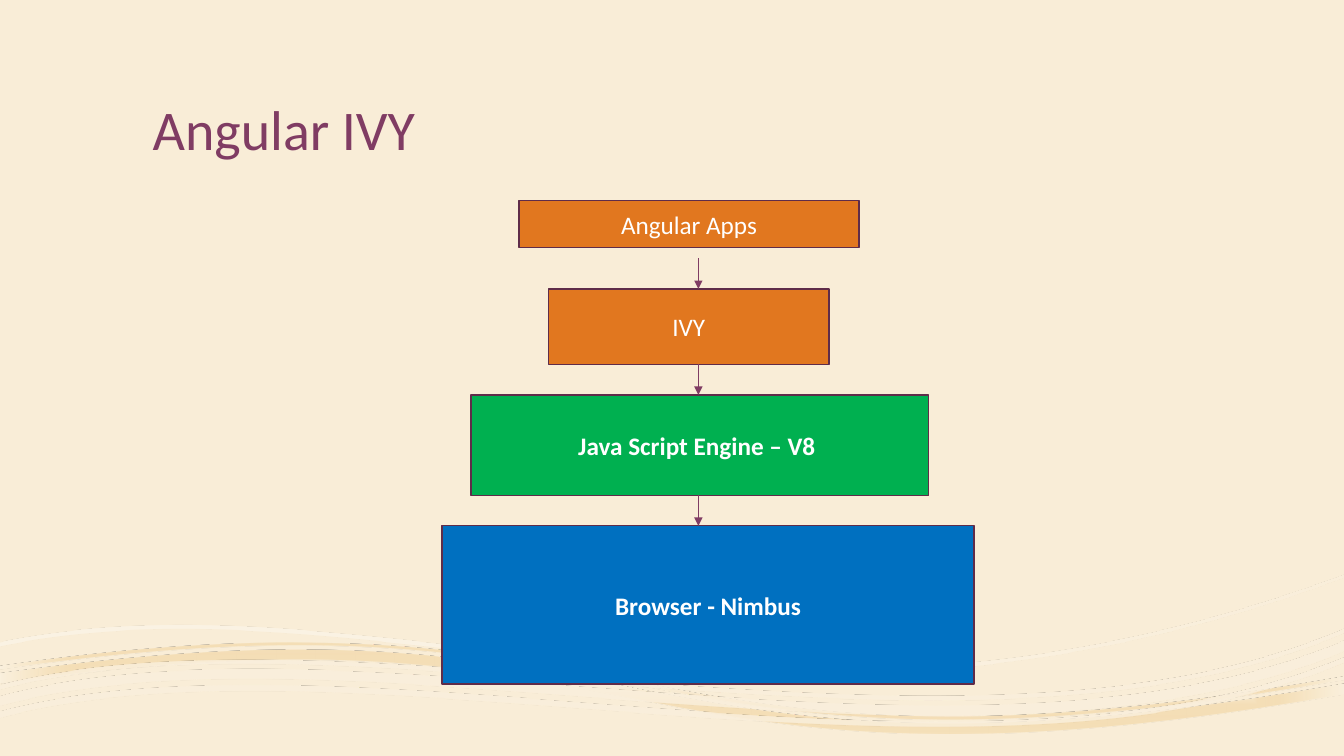
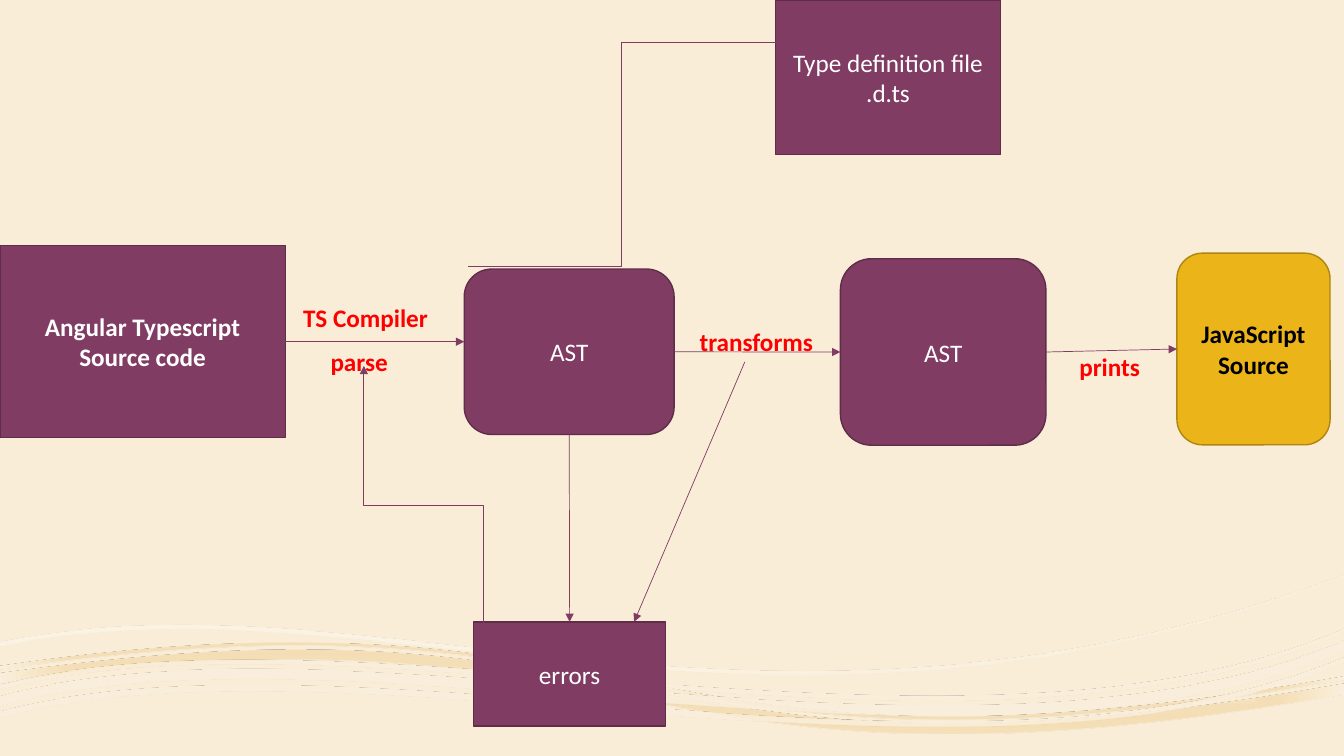
from math import cos, radians, sin

from pptx import Presentation
from pptx.dml.color import RGBColor
from pptx.enum.shapes import MSO_CONNECTOR as LINE, MSO_SHAPE as SHAPE
from pptx.enum.text import MSO_ANCHOR as ANCHOR, MSO_AUTO_SIZE as AUTOSIZE, PP_ALIGN as ALIGN
from pptx.oxml import parse_xml
from pptx.oxml.ns import nsdecls, qn
from pptx.util import Cm, Pt

CREAM = RGBColor(0xF9, 0xED, 0xD7)
PLUM = RGBColor(0x80, 0x3C, 0x63)
DARK_PLUM = RGBColor(0x5F, 0x2C, 0x49)
ORANGE = RGBColor(0xE1, 0x77, 0x1F)
GREEN = RGBColor(0x00, 0xB0, 0x50)
BLUE = RGBColor(0x00, 0x70, 0xC0)
GOLD = RGBColor(0xEB, 0xB4, 0x19)
DARK_GOLD = RGBColor(0xAE, 0x85, 0x12)
RED = RGBColor(0xFF, 0x00, 0x00)
WHITE = RGBColor(0xFF, 0xFF, 0xFF)
BLACK = RGBColor(0x00, 0x00, 0x00)

TITLE = {"size": Pt(40), "name": "Calibri"}
BODY = {"size": Pt(18), "name": "Calibri", "bold": False}
STRONG = {**BODY, "bold": True}

# Each ribbon is an upper and a lower edge: Bezier chains in cm, left to right,
# as they lie on the slide. The box is the frame before it is tilted.
# Gradient stops are (position %, colour, opacity %).
TILT = 356.5
WAVES = [
    {"box": (0.03, 15.54, 33.81, 3.43),
     "stops": [(0, "FAF1DF", 90), (18, "F4DEB7", 100), (37, "F4DDB3", 90), (100, "FAF1DF", 100)],
     "direction": '<a:path path="shape"><a:fillToRect l="50000" t="50000" r="50000" b="50000"/></a:path>',
     "ribbons": [
         ([(0, 16.97), (3.15, 16.54), (5.64, 16.36), (7.77, 16.38),
           (17.02, 16.43), (18.75, 19.86), (33.87, 17.22)],
          [(0, 17.22), (16.94, 14.81), (15.29, 20.73), (33.87, 17.48)]),
         ([(0, 16.79), (3.15, 16.33), (5.64, 16.18), (7.77, 16.21),
           (17.02, 16.26), (18.75, 19.69), (33.87, 17.04)],
          [(0, 16.87), (16.94, 14.45), (15.29, 20.37), (33.87, 17.12)])]},
    {"box": (0.08, 14.94, 33.91, 4.34),
     "stops": [(36, "FFFFFF", 30), (100, "F9EDD7", 48)],
     "direction": '<a:lin ang="2700000" scaled="0"/>',
     "ribbons": [
         ([(0, 16.18), (9.47, 14.2), (19.15, 19.91), (33.87, 14.48)],
          [(0, 16.28), (9.47, 14.3), (19.15, 20.02), (33.87, 14.55)])]},
    {"box": (-0.03, 15.88, 33.93, 2.92),
     "stops": [(36, "FFFFFF", 47), (100, "FAEFDC", 82)],
     "direction": '<a:path path="rect"><a:fillToRect l="100000" t="100000"/></a:path>',
     "ribbons": [
         ([(0, 17.93), (8.86, 15.54), (24.26, 20.57), (33.87, 16.56)],
          [(0, 18.08), (8.86, 15.7), (24.26, 20.7), (33.87, 16.69)]),
         ([(0, 17.55), (8.86, 15.14), (24.26, 20.17), (33.87, 16.15)],
          [(0, 17.78), (8.86, 15.39), (24.26, 20.42), (33.87, 16.41)]),
         ([(0, 17.27), (8.92, 14.96), (24.33, 19.96), (33.87, 15.85)],
          [(0, 17.37), (8.92, 15.06), (24.33, 20.07), (33.87, 15.95)])]},
]

# Layers, bottom first: text, (left, top, width, height), fill, font
LAYERS = [
    ("Browser - Nimbus", (11.14, 13.25, 13.41, 3.99), BLUE, STRONG),
    ("Java Script Engine – V8 ", (11.87, 9.95, 11.53, 2.54), GREEN, STRONG),
    ("IVY", (13.83, 7.28, 7.06, 1.9), ORANGE, BODY),
    ("Angular Apps", (13.08, 5.05, 8.57, 1.19), ORANGE, BODY),
]
ARROW_X, ARROW_LENGTH = 17.6, 0.77

# Stages: text, (left, top, width, height), shape, then what differs in look
STAGES = {
    "source": ("Angular Typescript Source code", (0, 6.19, 7.19, 4.83), SHAPE.RECTANGLE,
               {"font": STRONG}),
    "parsed": ("AST", (11.7, 6.78, 5.29, 4.17), SHAPE.ROUNDED_RECTANGLE, {}),
    "transformed": ("AST", (21.18, 6.52, 5.18, 4.7), SHAPE.ROUNDED_RECTANGLE, {}),
    "output": ("JavaScript Source", (29.66, 6.38, 3.86, 4.83), SHAPE.ROUNDED_RECTANGLE,
               {"font": STRONG, "fill": GOLD, "outline": DARK_GOLD, "ink": BLACK}),
    "errors": ("errors", (11.94, 15.67, 4.83, 2.63), SHAPE.RECTANGLE, {}),
    "types": ("Type definition file\n.d.ts", (19.55, 0, 5.66, 3.9), SHAPE.RECTANGLE, {}),
}
TOP, LEFT, BOTTOM, RIGHT = range(4)
# Links between stages: (stage, side) to (stage, side)
LINKS = [
    (("parsed", BOTTOM), ("errors", TOP)),
    (("parsed", RIGHT), ("transformed", LEFT)),
    (("transformed", RIGHT), ("output", LEFT)),
]
# Free arrows: start, end, format
ARROWS = [
    ((7.19, 8.61), (11.7, 8.61), {}),
    ((18.77, 9.12), (15.98, 15.67), {}),
    ((19.55, 1.07), (11.79, 6.71), {"kind": LINE.ELBOW, "heads": ()}),
    ((9.17, 9.22), (12.19, 16.23),
     {"kind": LINE.ELBOW, "heads": ("headEnd", "tailEnd"), "upright": True}),
]
LABELS = [
    ("TS Compiler", (7.39, 7.49, 3.86, 1.02)),
    ("parse", (8.08, 8.61, 2.01, 1.02)),
    ("transforms", (17.38, 8.1, 3.56, 1.02)),
    ("prints", (26.95, 8.72, 2.11, 1.02)),
]


def in_cm(values):
    return [Cm(value) for value in values]


def curve_path(box, ribbons):
    """Path XML of the ribbons, turned back into the untilted box."""
    left, top, width, height = box
    turn = radians(360 - TILT)

    def point(x, y):
        dx, dy = x - left - width / 2, y - top - height / 2
        px = width / 2 + dx * cos(turn) - dy * sin(turn)
        py = height / 2 + dx * sin(turn) + dy * cos(turn)
        return f'<a:pt x="{Cm(px)}" y="{Cm(py)}"/>'

    def curves(chain):
        return "".join(
            "<a:cubicBezTo>" + "".join(point(*p) for p in chain[i:i + 3]) + "</a:cubicBezTo>"
            for i in range(1, len(chain), 3))

    outlines = "".join(
        f"<a:moveTo>{point(*upper[0])}</a:moveTo>{curves(upper)}"
        f"<a:lnTo>{point(*lower[-1])}</a:lnTo>{curves(lower[::-1])}<a:close/>"
        for upper, lower in ribbons)
    return f'<a:path {nsdecls("a")} w="{Cm(width)}" h="{Cm(height)}">{outlines}</a:path>'


def gradient(stops, direction):
    marks = "".join(
        f'<a:gs pos="{position * 1000}"><a:srgbClr val="{colour}">'
        f'<a:alpha val="{opacity * 1000}"/></a:srgbClr></a:gs>'
        for position, colour, opacity in stops)
    return (f'<a:gradFill {nsdecls("a")} rotWithShape="1"><a:gsLst>{marks}</a:gsLst>'
            f'{direction}</a:gradFill>')


def draw_wave(slide, box, stops, direction, ribbons):
    left, top, width, height = in_cm(box)
    frame = slide.shapes.build_freeform(left, top)
    frame.add_line_segments([(left + width, top), (left + width, top + height),
                             (left, top + height)])
    shape = frame.convert_to_shape()
    shape.rotation = TILT
    shape.shadow.inherit = False
    shape.line.fill.background()
    shape.fill.background()
    props = shape._element.spPr
    paths = props.find(qn("a:custGeom")).find(qn("a:pathLst"))
    paths.replace(paths[0], parse_xml(curve_path(box, ribbons)))
    props.replace(props.find(qn("a:noFill")), parse_xml(gradient(stops, direction)))
    return shape


def decorate_layout(layout, slide):
    """Give the layout its background and waves, drawn on a slide and moved over."""
    layout.background.fill.solid()
    layout.background.fill.fore_color.rgb = CREAM
    for wave in WAVES:
        layout.shapes._spTree.append(draw_wave(slide, **wave)._element)


def write(frame, text, font, ink, align=None):
    frame.text = text
    for paragraph in frame.paragraphs:
        paragraph.alignment = align
        for run in paragraph.runs:
            for key, value in font.items():
                setattr(run.font, key, value)
            run.font.color.rgb = ink


def add_box(slide, text, box, kind=SHAPE.RECTANGLE, fill=PLUM, outline=DARK_PLUM,
            font=BODY, ink=WHITE):
    shape = slide.shapes.add_shape(kind, *in_cm(box))
    shape.shadow.inherit = False
    shape.fill.solid()
    shape.fill.fore_color.rgb = fill
    shape.line.color.rgb = outline
    shape.line.width = Pt(1)
    shape.text_frame.word_wrap = True
    shape.text_frame.vertical_anchor = ANCHOR.MIDDLE
    write(shape.text_frame, text, font, ink, ALIGN.CENTER)
    return shape


def add_arrow(slide, start, end, kind=LINE.STRAIGHT, heads=("tailEnd",), upright=False):
    """Draw a connector; an upright elbow leaves and arrives vertically."""
    (x1, y1), (x2, y2) = start, end
    if upright:
        mid_x, mid_y = (x1 + x2) / 2, (y1 + y2) / 2
        half_w, half_h = (y2 - y1) / 2, (x2 - x1) / 2
        x1, y1, x2, y2 = mid_x + half_w, mid_y - half_h, mid_x - half_w, mid_y + half_h
    arrow = slide.shapes.add_connector(kind, *in_cm((x1, y1, x2, y2)))
    props = arrow._element.spPr
    if upright:
        props.find(qn("a:xfrm")).set("rot", str(270 * 60000))
    arrow.line.color.rgb = PLUM
    arrow.line.width = Pt(0.5)
    for head in heads:
        props.find(qn("a:ln")).append(parse_xml(f'<a:{head} {nsdecls("a")} type="triangle"/>'))
    props.append(parse_xml(f'<a:effectLst {nsdecls("a")}/>'))
    return arrow


def add_title(slide, text):
    frame = slide.shapes.add_textbox(*in_cm((3.6, 0.84, 26.67, 3.38))).text_frame
    frame.word_wrap = True
    frame.vertical_anchor = ANCHOR.BOTTOM
    write(frame, text, TITLE, PLUM)
    frame.paragraphs[0].line_spacing = 0.9


def add_label(slide, text, box):
    frame = slide.shapes.add_textbox(*in_cm(box)).text_frame
    frame.word_wrap = False
    frame.auto_size = AUTOSIZE.SHAPE_TO_FIT_TEXT
    write(frame, text, STRONG, RED)


def build_layers(slide):
    add_title(slide, "Angular IVY")
    for text, box, fill, font in LAYERS:
        add_box(slide, text, box, fill=fill, font=font)
    for _, (_, top, _, _), _, _ in LAYERS[:-1]:
        add_arrow(slide, (ARROW_X, top - ARROW_LENGTH), (ARROW_X, top))


def build_compiler(slide):
    stages = {name: add_box(slide, text, box, kind, **look)
              for name, (text, box, kind, look) in STAGES.items()}
    for (origin, origin_side), (target, target_side) in LINKS:
        link = add_arrow(slide, (0, 0), (1, 1))
        link.begin_connect(stages[origin], origin_side)
        link.end_connect(stages[target], target_side)
    for start, end, style in ARROWS:
        add_arrow(slide, start, end, **style)
    for text, box in LABELS:
        add_label(slide, text, box)


def main():
    deck = Presentation()
    deck.slide_width, deck.slide_height = Cm(33.87), Cm(19.05)
    blank = deck.slide_layouts[6]
    layers, compiler = (deck.slides.add_slide(blank) for _ in range(2))
    decorate_layout(blank, layers)
    build_layers(layers)
    build_compiler(compiler)
    deck.save("out.pptx")


if __name__ == "__main__":
    main()
